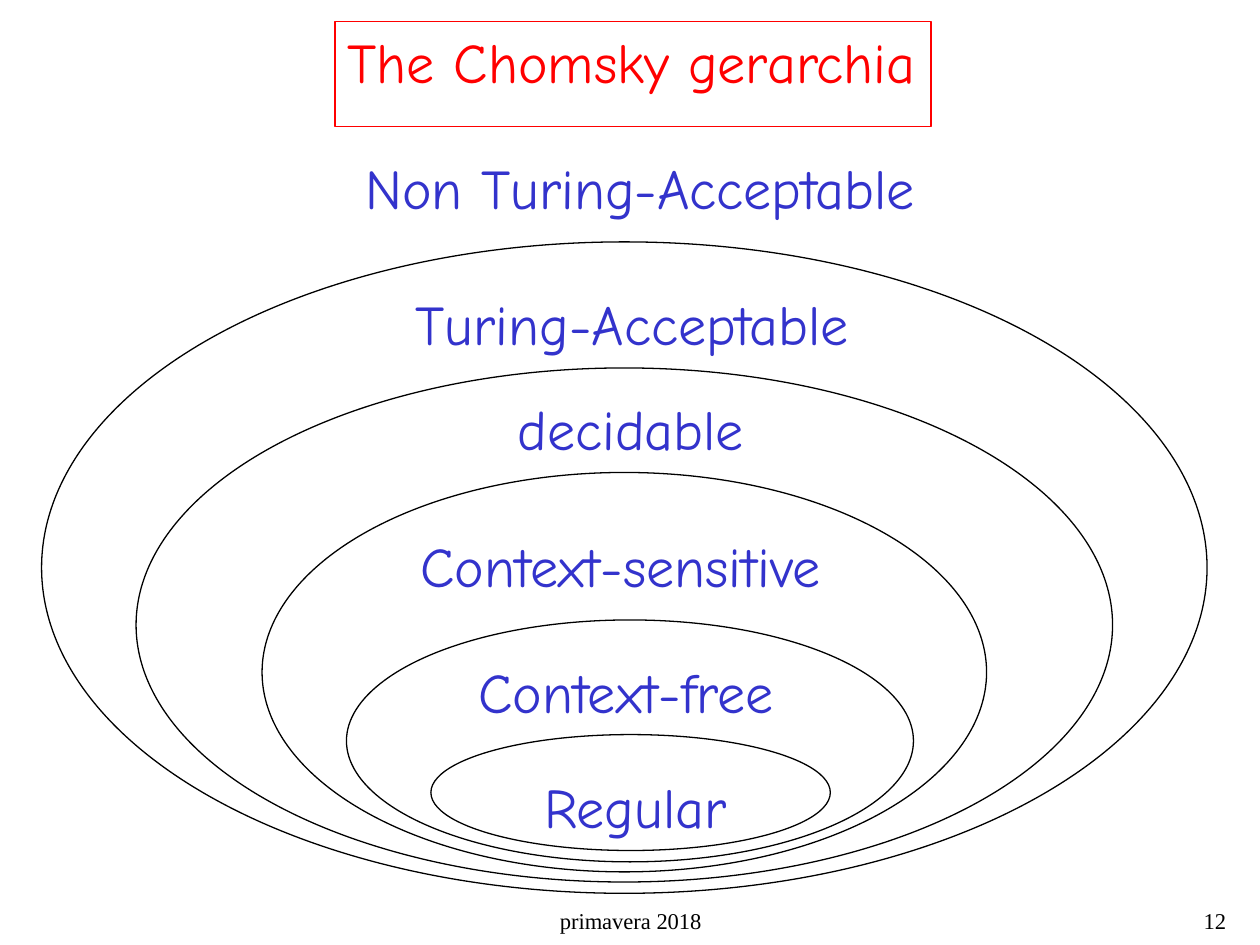
"""Build a slide of nested ellipses showing the Chomsky hierarchy."""
from typing import NamedTuple

from pptx import Presentation
from pptx.dml.color import RGBColor
from pptx.enum.shapes import MSO_SHAPE
from pptx.enum.text import MSO_ANCHOR, MSO_AUTO_SIZE, PP_ALIGN
from pptx.util import Inches, Pt

ELLIPSE = MSO_SHAPE.OVAL
TOP = MSO_ANCHOR.TOP
GROW, FIXED = MSO_AUTO_SIZE.SHAPE_TO_FIT_TEXT, MSO_AUTO_SIZE.NONE
LEFT, CENTER, RIGHT = PP_ALIGN.LEFT, PP_ALIGN.CENTER, PP_ALIGN.RIGHT
BLACK, RED, BLUE = "000000", "FF0000", "3333CC"
LABEL_H = 0.64


class Box(NamedTuple):
    left: float
    top: float
    width: float
    height: float


class Label(NamedTuple):
    text: str
    left: float
    top: float
    width: float


CLASSES = [
    Box(0.33, 1.92, 9.25, 5.17),
    Box(1.08, 2.92, 7.75, 4.08),
    Box(2.08, 3.75, 5.75, 3.17),
    Box(2.75, 4.92, 4.5, 1.92),
    Box(3.42, 5.83, 3.17, 0.92),
]
LABELS = [
    Label("Non Turing-Acceptable", 2.8, 1.17, 4.58),
    Label("Turing-Acceptable", 3.2, 2.25, 3.66),
    Label("decidable", 4.01, 3.08, 2),
    Label("Context-sensitive", 3.24, 4.17, 3.4),
    Label("Context-free", 3.7, 5.17, 2.57),
    Label("Regular", 4.22, 6.08, 1.65),
]


def rgb(value: str) -> RGBColor:
    return RGBColor.from_string(value)


def inches(box: Box) -> list:
    return [Inches(v) for v in box]


def set_text(sp, text: str, *, size=32, font="Comic Neue", color=BLUE,
             align=LEFT, before=8, spacing=None, wrap=False) -> None:
    tf = sp.text_frame
    tf.word_wrap = wrap
    tf.auto_size = FIXED if wrap else GROW
    tf.vertical_anchor = TOP
    p = tf.paragraphs[0]
    p.alignment = align
    p.space_before = Pt(before)
    if spacing:
        p.line_spacing = spacing
    r = p.add_run()
    r.text = text
    r.font.size = Pt(size)
    r.font.name = font
    r.font.color.rgb = rgb(color)


def add_title(s, text: str, box: Box) -> None:
    sp = s.shapes.title
    sp.left, sp.top, sp.width, sp.height = inches(box)
    sp.line.color.rgb = rgb(RED)
    sp.line.width = Pt(0.75)
    set_text(sp, text, color=RED)


def add_ellipse(s, box: Box) -> None:
    sp = s.shapes.add_shape(ELLIPSE, *inches(box))
    sp.shadow.inherit = False
    sp.fill.background()
    sp.line.color.rgb = rgb(BLACK)
    sp.line.width = Pt(0.75)


def add_label(s, label: Label) -> None:
    box = Box(label.left, label.top, label.width, LABEL_H)
    set_text(s.shapes.add_textbox(*inches(box)), label.text)


def add_footer(s, text: str, box: Box, align: PP_ALIGN) -> None:
    set_text(s.shapes.add_textbox(*inches(box)), text, size=12.9,
             font="Times New Roman", color=BLACK, align=align, before=0,
             spacing=0.9, wrap=True)


def main() -> None:
    prs = Presentation()
    prs.slide_width, prs.slide_height = Inches(10), Inches(7.5)
    s = prs.slides.add_slide(prs.slide_layouts[5])
    add_title(s, "The Chomsky gerarchia", Box(2.66, 0.17, 4.73, LABEL_H))
    for box in CLASSES:
        add_ellipse(s, box)
    for label in LABELS:
        add_label(s, label)
    add_footer(s, "primavera 2018", Box(3.42, 7.17, 3.17, 0.33), CENTER)
    add_footer(s, "12", Box(7.75, 7.17, 2.08, 0.33), RIGHT)
    prs.save("out.pptx")


if __name__ == "__main__":
    main()
